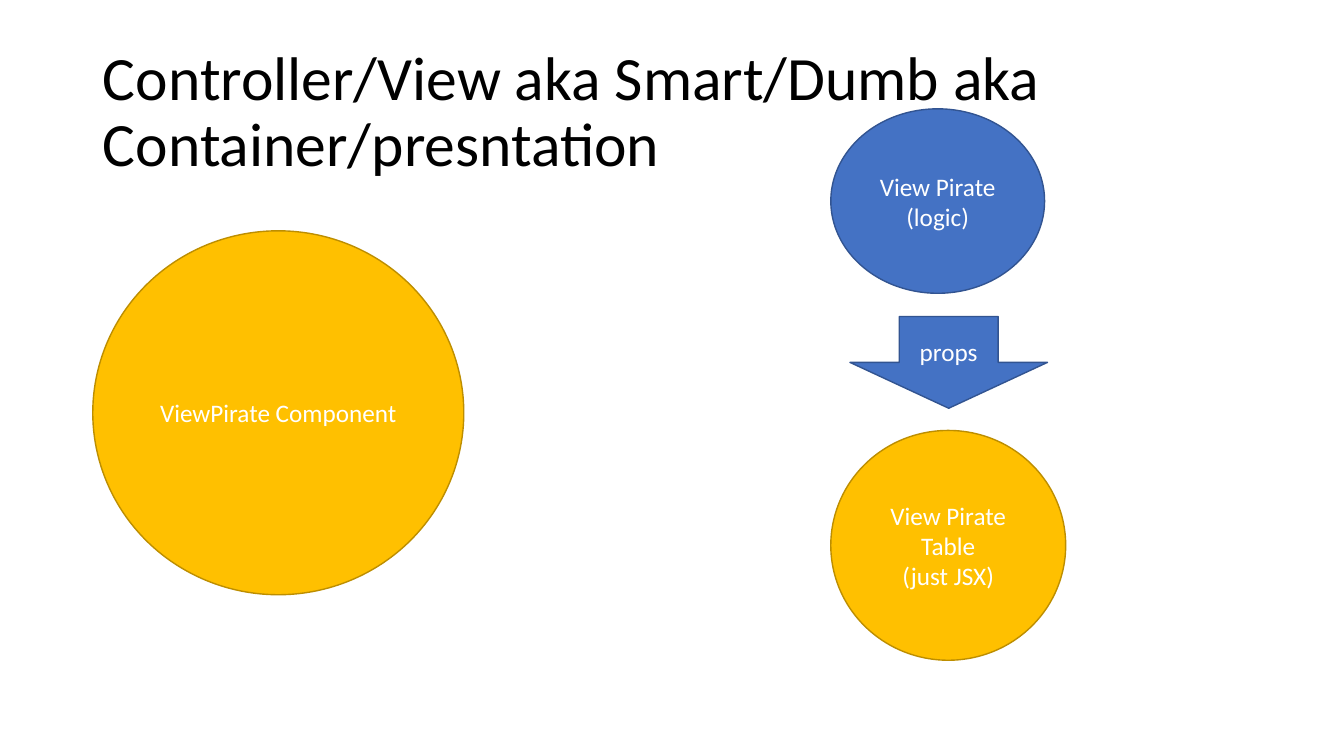
from dataclasses import dataclass

from pptx import Presentation
from pptx.dml.color import RGBColor as RGB
from pptx.enum.shapes import MSO_SHAPE as Kind
from pptx.enum.text import MSO_ANCHOR as Anchor, MSO_AUTO_SIZE as Fit, PP_ALIGN as Align
from pptx.slide import Slide
from pptx.text.text import TextFrame
from pptx.util import Inches, Pt

FONT = "Calibri"
HEX = {
    "black": "000000",
    "white": "FFFFFF",
    "blue": "4472C4",
    "blue edge": "325491",
    "gold": "FFC000",
    "gold edge": "BD8E00",
}


@dataclass
class Node:
    kind: Kind
    box: tuple[float, float, float, float]
    hue: str
    text: str


NODES = [
    Node(Kind.OVAL, (8.24, 1.08, 2.12, 1.83), "blue", "View Pirate\n(logic)"),
    Node(Kind.OVAL, (8.24, 4.27, 2.33, 2.28), "gold", "View Pirate Table\n(just JSX)"),
    Node(Kind.DOWN_ARROW, (8.43, 3.14, 1.96, 0.91), "blue", "props"),
    Node(Kind.OVAL, (0.92, 2.29, 3.68, 3.61), "gold", "ViewPirate Component"),
]


def color(name: str) -> RGB:
    """Look up a named colour."""
    return RGB.from_string(HEX[name])


def write(frame: TextFrame, text: str, size: int, hue: str, align: Align) -> None:
    """Set the text of a frame and format its runs."""
    frame.text = text
    frame.word_wrap = True
    frame.vertical_anchor = Anchor.MIDDLE
    for para in frame.paragraphs:
        para.alignment = align
        for run in para.runs:
            run.font.name = FONT
            run.font.size = Pt(size)
            run.font.color.rgb = color(hue)


def head(slide: Slide, text: str) -> None:
    """Place and format the slide title."""
    title = slide.shapes.title
    title.left, title.top = Inches(0.92), Inches(0.4)
    title.width, title.height = Inches(11.5), Inches(1.45)
    frame = title.text_frame
    write(frame, text, 44, "black", Align.LEFT)
    frame.auto_size = Fit.NONE
    frame.paragraphs[0].line_spacing = 0.9


def draw(slide: Slide, node: Node) -> None:
    """Draw one labelled shape."""
    shape = slide.shapes.add_shape(node.kind, *map(Inches, node.box))
    shape.shadow.inherit = False
    shape.fill.solid()
    shape.fill.fore_color.rgb = color(node.hue)
    shape.line.color.rgb = color(f"{node.hue} edge")
    shape.line.width = Pt(1)
    write(shape.text_frame, node.text, 18, "white", Align.CENTER)


def main() -> None:
    """Build and save the slide."""
    deck = Presentation()
    deck.slide_width, deck.slide_height = Inches(13.33), Inches(7.5)
    slide = deck.slides.add_slide(deck.slide_layouts[5])
    head(slide, "Controller/View aka Smart/Dumb aka Container/presntation")
    for node in NODES:
        draw(slide, node)
    deck.save("out.pptx")


if __name__ == "__main__":
    main()
